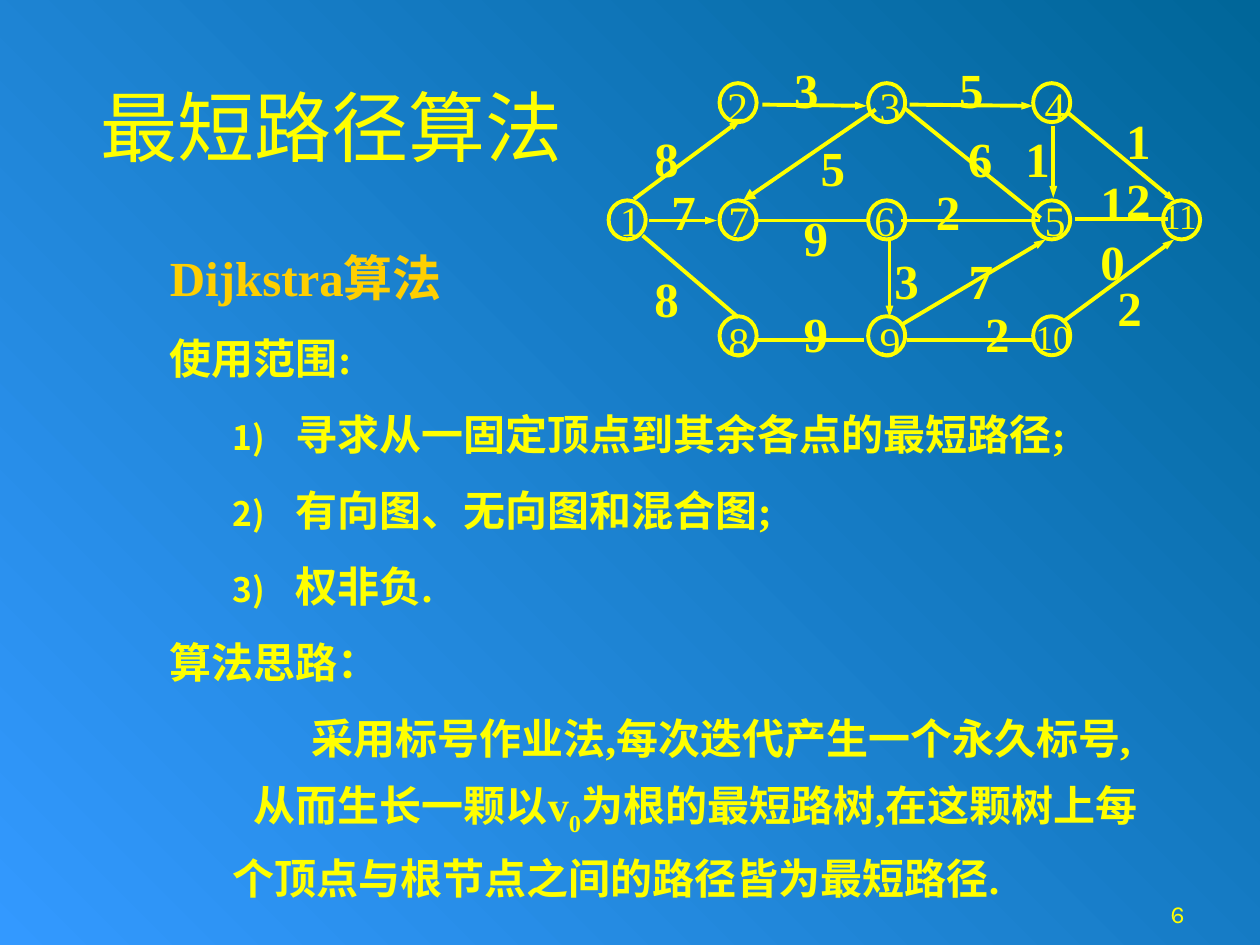
from lxml import etree
from pptx import Presentation
from pptx.dml.color import RGBColor
from pptx.enum.shapes import MSO_CONNECTOR, MSO_SHAPE
from pptx.enum.text import MSO_ANCHOR, PP_ALIGN
from pptx.oxml.ns import qn
from pptx.util import Pt

STRAIGHT, OVAL = MSO_CONNECTOR.STRAIGHT, MSO_SHAPE.OVAL
LEFT, CENTER, RIGHT = PP_ALIGN.LEFT, PP_ALIGN.CENTER, PP_ALIGN.RIGHT
JUSTIFY = PP_ALIGN.JUSTIFY
TOP, BOTTOM = MSO_ANCHOR.TOP, MSO_ANCHOR.BOTTOM


class Theme:
    yellow, gold = "FFFF00", "FFCF01"
    sky_start, sky_end = "006699", "3399FF"
    title_font, body_font, number_font = "Arial", "Times New Roman", "Karla"
    title, heading, body, small_node, page_number = 44, 28, 24, 20, 14
    line = 2.25


# Content
TITLE = "最短路径算法"
HEADING = "Dijkstra算法"
PAGE_NUMBER = "6"

# Body paragraphs: spans, left margin, first-line indent, space before, numbered
BODY = [
    (["使用范围:"], 36, -36, 6, False),
    (["寻求从一固定顶点到其余各点的最短路径;"], 72, -36, 6, True),
    (["有向图、无向图和混合图;"], 72, -36, 6, True),
    (["权非负."], 72, -36, 6, True),
    (["算法思路："], 36, -36, 6, False),
    (["采用标号作业法,每次迭代产生一个永久标号,"], 36, 45, 6, False),
    (["从而生长一颗以v", "0", "为根的最短路树,在这颗树上每个顶点与根节点之间的路径皆为最短路径."],
     36, 12, 0, False),
]
SUBSCRIPT = "0"

# Graph grid: left edges of node columns, top edges of node rows
COLUMNS = [347.8, 411.2, 496.1, 590.4, 664.6]
ROWS = [47.5, 114.5, 180.7]
LABEL_TOPS = [45.4, 110.3, 179.5]
NODE_WIDTH, NODE_HEIGHT = 21.2, 22.3

# Nodes: label, column, row, label shift
NODES = [
    ("1", 0, 1, 5.8), ("2", 1, 0, 3.6), ("3", 2, 0, 5.8), ("4", 3, 0, 5.8),
    ("5", 3, 1, 5.8), ("6", 2, 1, 2.9), ("7", 1, 1, 4.3), ("8", 1, 2, 4.3),
    ("9", 2, 2, 5.8), ("10", 3, 2, 0.7), ("11", 4, 1, -0.7),
]

# Edges: start, end, arrowhead width, weight, weight centre x and top
EDGES = [
    ((362.2, 113.8), (423.4, 68.4), "sm", "8", 380.9, 69.8),
    ((370.8, 126), (409.7, 126), "sm", "7", 390.6, 100.1),
    ((367.2, 134.6), (421.9, 181.4), None, "8", 380.9, 149.8),
    ((435.6, 59.8), (495.4, 60.5), "sm", "3", 460.8, 30.2),
    ((519.8, 59.8), (590.4, 60.5), "sm", "5", 555.1, 30.2),
    ((500.4, 62.6), (424.8, 114.5), "med", "5", 475.9, 74.9),
    ((517, 61.9), (594.7, 124.6), None, "6", 560.1, 69.8),
    ((601.9, 72), (601.9, 113), "sm", "1", 592.9, 69.8),
    ((609.8, 64.1), (671.8, 115.2), "sm", "12", 650.5, 59.8),
    ((430.6, 126), (495.4, 126), None, "9", 466.2, 115.2),
    ((514.8, 126), (594, 126), None, "2", 541.8, 100.1),
    ((614.2, 125.3), (667.4, 125.3), None, "10", 635.7, 95),
    ((508.3, 136.8), (508.3, 181.4), "sm", "3", 518, 139.7),
    ((514.8, 185.8), (597.6, 136.8), "sm", "7", 560.5, 139.7),
    ((432, 194.4), (493.9, 194.4), None, "9", 466.2, 169.9),
    ((518.4, 194.4), (590.4, 194.4), None, "2", 569.9, 169.9),
    ((607.7, 183.6), (671, 136.8), "sm", "2", 645.5, 154.8),
]
WEIGHT_WIDTH, DIGIT_HEIGHT = 38, 34


def color(value):
    return RGBColor.from_string(value)


def style(font, size, name=Theme.body_font, tint=Theme.yellow, bold=False):
    font.size, font.name, font.bold = Pt(size), name, bold
    font.color.rgb = color(tint)


def add_box(left, top, width, height, inset=(7.2, 3.6), anchor=TOP):
    box = page.shapes.add_textbox(Pt(left), Pt(top), Pt(width), Pt(height))
    frame = box.text_frame
    frame.word_wrap, frame.vertical_anchor = True, anchor
    frame.margin_left = frame.margin_right = Pt(inset[0])
    frame.margin_top = frame.margin_bottom = Pt(inset[1])
    return frame


def add_label(text, bounds, align, size, name=Theme.body_font, bold=False, **box_options):
    frame = add_box(*bounds, **box_options)
    frame.text = text
    para = frame.paragraphs[0]
    para.alignment = align
    style(para.runs[0].font, size, name, bold=bold)


def set_indent(para, margin, indent, numbered=False):
    properties = para._p.get_or_add_pPr()
    properties.set("marL", str(Pt(margin)))
    properties.set("indent", str(Pt(indent)))
    if numbered:
        tint = etree.SubElement(properties, qn("a:buClr"))
        etree.SubElement(tint, qn("a:srgbClr"), val=Theme.yellow)
        etree.SubElement(properties, qn("a:buSzPct"), val="80000")
        etree.SubElement(properties, qn("a:buAutoNum"), type="arabicParenR")


def add_edge(start, end, arrow):
    edge = page.shapes.add_connector(STRAIGHT, *(Pt(value) for value in start + end))
    edge.line.color.rgb, edge.line.width = color(Theme.yellow), Pt(Theme.line)
    if arrow:
        etree.SubElement(edge.line._get_or_add_ln(), qn("a:tailEnd"),
                         type="triangle", w=arrow, len="med")
    etree.SubElement(edge._element.spPr, qn("a:effectLst"))


deck = Presentation()
deck.slide_width, deck.slide_height = Pt(720), Pt(540)
page = deck.slides.add_slide(deck.slide_layouts[6])

# Background
fill = page.background.fill
fill.gradient()
fill.gradient_angle = 225
for stop, tint in zip(fill.gradient_stops, (Theme.sky_start, Theme.sky_end)):
    stop.color.rgb = color(tint)

# Title
add_label(TITLE, (30.2, 41.8, 318.2, 60.5), CENTER, Theme.title, Theme.title_font)

# Body text
body = add_box(90, 138.2, 581.8, 381.6)
body.text = HEADING
heading = body.paragraphs[0]
set_indent(heading, 36, -36)
style(heading.runs[0].font, Theme.heading, tint=Theme.gold, bold=True)
for spans, margin, indent, before, numbered in BODY:
    para = body.add_paragraph()
    set_indent(para, margin, indent, numbered)
    para.alignment, para.line_spacing, para.space_before = LEFT, 1.3, Pt(before)
    for text in spans:
        span = para.add_run()
        span.text = text
        style(span.font, Theme.body, bold=True)
        if text == SUBSCRIPT:
            span._r.get_or_add_rPr().set("baseline", "-25000")

# Graph nodes
for label, column, row, shift in NODES:
    left = COLUMNS[column]
    node = page.shapes.add_shape(OVAL, Pt(left), Pt(ROWS[row]), Pt(NODE_WIDTH), Pt(NODE_HEIGHT))
    node.shadow.inherit = False
    node.fill.background()
    node.line.color.rgb, node.line.width = color(Theme.yellow), Pt(Theme.line)
    size = Theme.body if len(label) == 1 else Theme.small_node
    add_label(label, (left + shift, LABEL_TOPS[row], 31.7, 33.1), JUSTIFY, size,
              inset=(0.7, 0.7))

# Graph edges and their weights; two-digit weights wrap onto two lines
for start, end, arrow, weight, centre, top in EDGES:
    add_edge(start, end, arrow)
    height = DIGIT_HEIGHT * len(weight) + 7.2
    add_label(weight, (centre - WEIGHT_WIDTH / 2, top, WEIGHT_WIDTH, height),
              CENTER, Theme.heading, bold=True)

# Page number
add_label(PAGE_NUMBER, (534.2, 498.2, 149.8, 36), RIGHT, Theme.page_number,
          Theme.number_font, anchor=BOTTOM)

deck.save("out.pptx")
